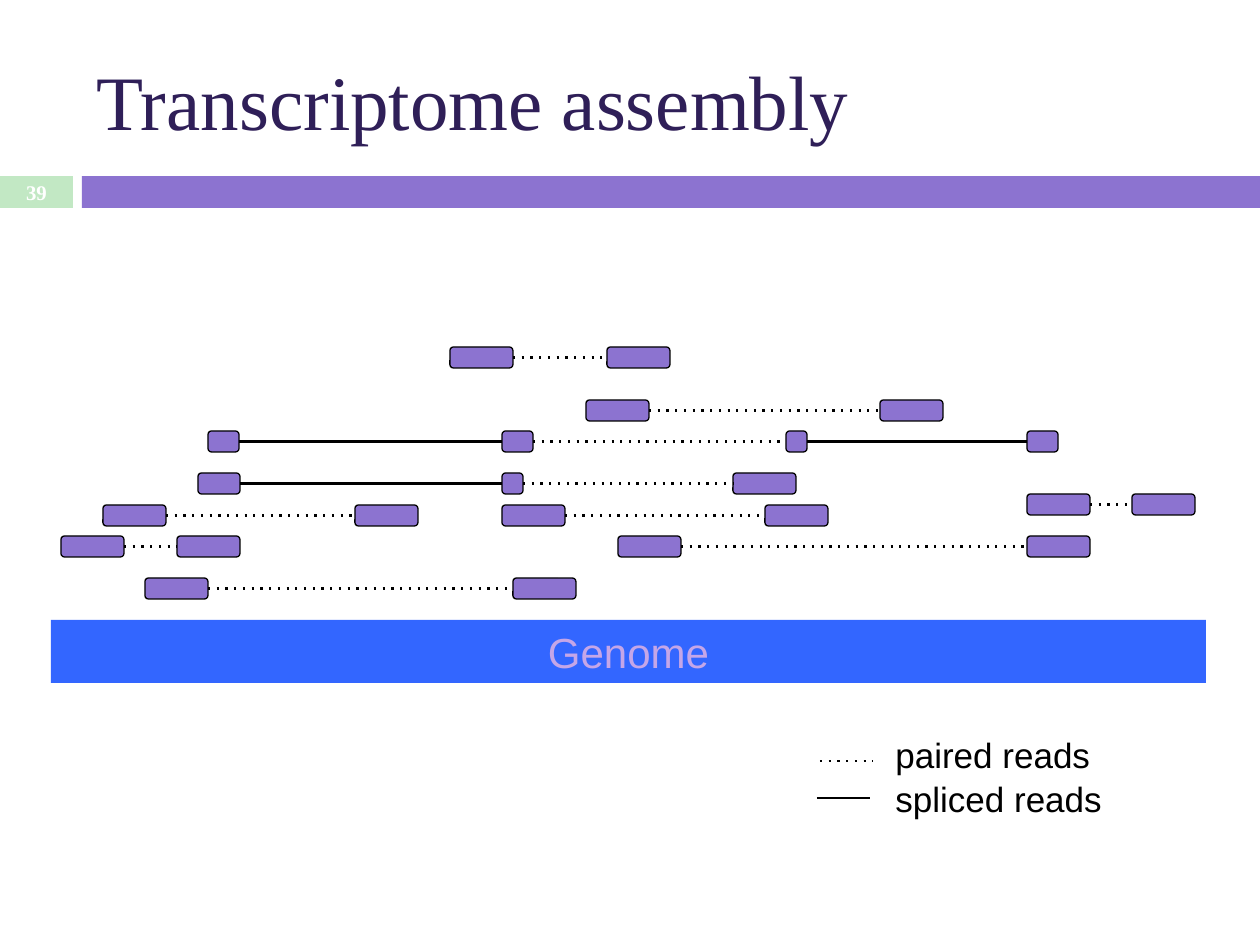
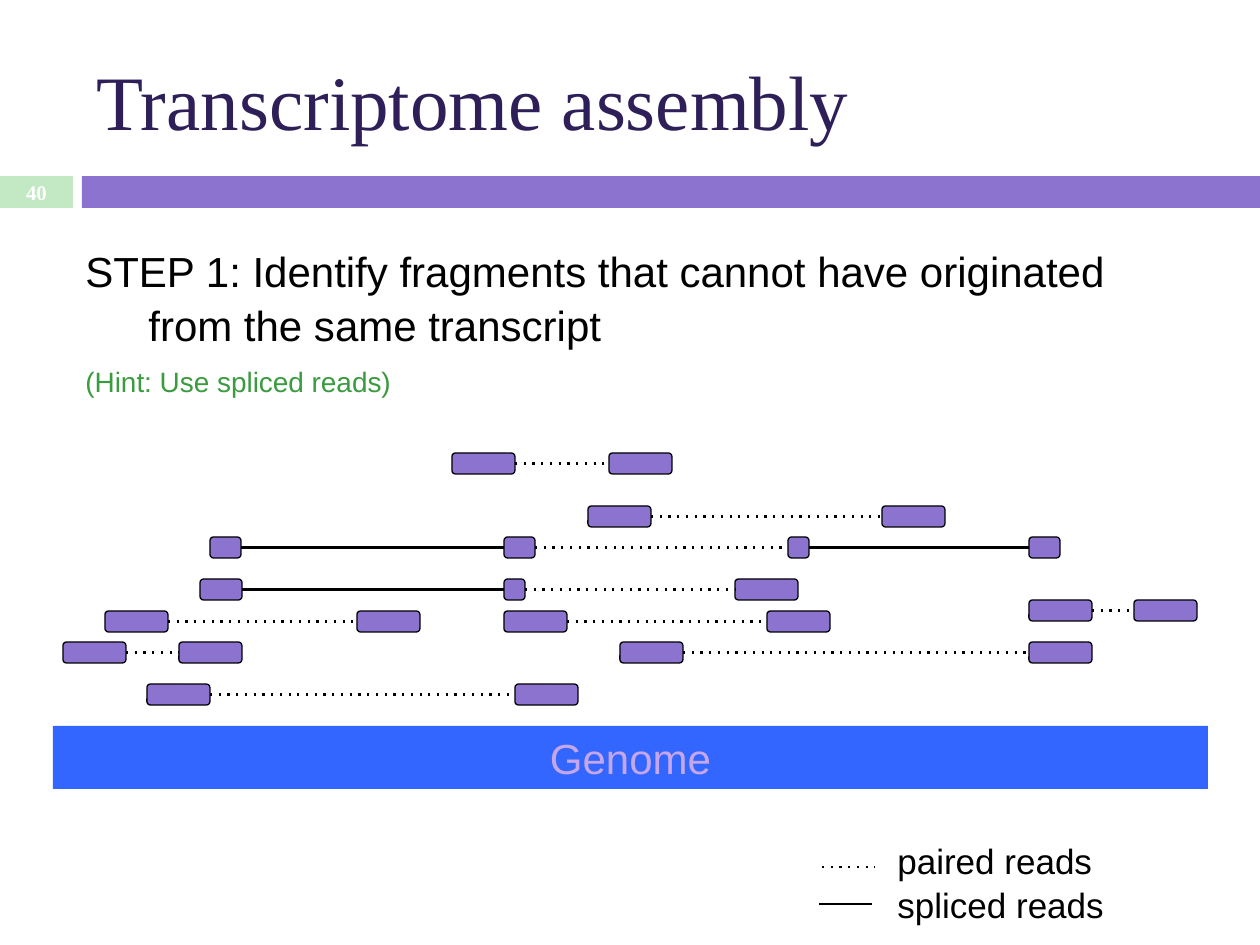
"""Build two slides that show sequencing reads aligned to a genome."""
import dataclasses

import lxml.etree
import pptx
import pptx.dml.color
import pptx.enum.shapes
import pptx.enum.text
import pptx.oxml.ns
import pptx.util

SHAPES = pptx.enum.shapes.MSO_SHAPE
ALIGN = pptx.enum.text.PP_ALIGN
ANCHOR = pptx.enum.text.MSO_ANCHOR
PX_PER_INCH = 126
RIGHT_SIDE, LEFT_SIDE = 3, 1
READ_HEIGHT = 2
GENOME_SIZE = (110, 6)
PAIRED, SPLICED = "paired", "spliced"

# Each fragment: row above the genome, then (start, length) reads joined by links, in grid units.
FRAGMENTS = [
    (26, [(38, 6), PAIRED, (53, 6)]),
    (21, [(51, 6), PAIRED, (79, 6)]),
    (18, [(15, 3), SPLICED, (43, 3), PAIRED, (70, 2), SPLICED, (93, 3)]),
    (14, [(14, 4), SPLICED, (43, 2), PAIRED, (65, 6)]),
    (12, [(93, 6), PAIRED, (103, 6)]),
    (11, [(5, 6), PAIRED, (29, 6)]),
    (11, [(43, 6), PAIRED, (68, 6)]),
    (8, [(1, 6), PAIRED, (12, 6)]),
    (8, [(54, 6), PAIRED, (93, 6)]),
    (4, [(9, 6), PAIRED, (44, 6)]),
]


@dataclasses.dataclass(frozen=True)
class Theme:
    """Colours, fonts and sizes in points that the slides share."""
    title: str = "2F1F58"
    band: str = "8C73D0"
    number_band: str = "C2E8C4"
    genome: str = "3366FF"
    genome_label: str = "C5A6E8"
    hint: str = "3A9B3F"
    ink: str = "000000"
    paper: str = "FFFFFF"
    serif: str = "Times New Roman"
    sans: str = "Arial"
    title_size: float = 44
    step_size: float = 24
    legend_size: float = 20
    hint_size: float = 16
    number_size: float = 11.9
    outline: float = 0.75
    link: float = 1.25


THEME = Theme()


def px(length):
    """Turn px into EMU."""
    return pptx.util.Emu(round(length * 914400 / PX_PER_INCH))


def grid(units):
    """Turn grid units of a twelfth of an inch into whole px."""
    return units * PX_PER_INCH // 12


def rgb(value):
    """Return the colour for a hex value."""
    return pptx.dml.color.RGBColor.from_string(value)


def add_run(paragraph, text, size, color, font=THEME.sans, bold=False):
    """Add one formatted run to a paragraph."""
    run = paragraph.add_run()
    run.text = text
    run.font.name = font
    run.font.size = pptx.util.Pt(size)
    run.font.color.rgb = rgb(color)
    run.font.bold = bold


def add_block(slide, kind, left, top, width, height, fill, outline=None):
    """Add a filled preset shape, outlined only when a colour is given."""
    shape = slide.shapes.add_shape(kind, px(left), px(top), px(width), px(height))
    shape.shadow.inherit = False
    shape.fill.solid()
    shape.fill.fore_color.rgb = rgb(fill)
    if outline:
        shape.line.color.rgb = rgb(outline)
        shape.line.width = pptx.util.Pt(THEME.outline)
    else:
        shape.line.fill.background()
    return shape


def add_text_box(slide, left, top, width, height):
    """Add a wrapping text box and return its frame."""
    frame = slide.shapes.add_textbox(px(left), px(top), px(width), px(height)).text_frame
    frame.word_wrap = True
    return frame


def add_link(slide, kind, left=0, right=0, y=0):
    """Add a horizontal link line, dotted for paired reads."""
    connector = slide.shapes.add_connector(
        pptx.enum.shapes.MSO_CONNECTOR.STRAIGHT, px(left), px(y), px(right), px(y))
    connector.line.color.rgb = rgb(THEME.ink)
    connector.line.width = pptx.util.Pt(THEME.link)
    qn = pptx.oxml.ns.qn
    properties = connector.element.spPr
    if kind == PAIRED:
        dash = lxml.etree.SubElement(properties.find(qn("a:ln")), qn("a:prstDash"))
        dash.set("val", "dot")
    lxml.etree.SubElement(properties, qn("a:effectLst"))
    return connector


def add_titled_slide(presentation, title, number):
    """Add a slide with its title, bands and slide number."""
    slide = presentation.slides.add_slide(presentation.slide_layouts[5])
    add_block(slide, SHAPES.RECTANGLE, 0, 176, 73, 32, THEME.number_band)
    add_block(slide, SHAPES.RECTANGLE, 82, 176, 1178, 32, THEME.band)

    placeholder = slide.shapes.title
    placeholder.left, placeholder.top = px(84), px(32)
    placeholder.width, placeholder.height = px(1124), px(136)
    frame = placeholder.text_frame
    frame.vertical_anchor = ANCHOR.MIDDLE
    frame.paragraphs[0].alignment = ALIGN.LEFT
    add_run(frame.paragraphs[0], title, THEME.title_size, THEME.title, THEME.serif)

    frame = add_text_box(slide, 0, 175, 73, 34)
    frame.vertical_anchor = ANCHOR.MIDDLE
    frame.paragraphs[0].alignment = ALIGN.CENTER
    add_run(frame.paragraphs[0], str(number), THEME.number_size, THEME.paper,
            THEME.serif, bold=True)
    return slide


def add_step(slide, step, hint):
    """Add the step text and its hint with a hanging indent."""
    frame = add_text_box(slide, 73, 236, 1124, 158)
    lines = [(step, THEME.step_size, THEME.ink), (hint, THEME.hint_size, THEME.hint)]
    for index, (text, size, color) in enumerate(lines):
        paragraph = frame.add_paragraph() if index else frame.paragraphs[0]
        paragraph.line_spacing = 1.07
        paragraph.space_before = pptx.util.Pt(7 if index else 0)
        properties = paragraph._p.get_or_add_pPr()
        properties.set("marL", str(px(63)))
        properties.set("indent", str(-px(63)))
        add_run(paragraph, text, size, color)


def add_fragment(slide, left, top, chain):
    """Add the reads of one fragment and join neighbours by their links."""
    reads = [
        add_block(slide, SHAPES.ROUNDED_RECTANGLE, left + grid(start), top,
                  grid(length), grid(READ_HEIGHT), THEME.band, THEME.ink)
        for start, length in chain[::2]
    ]
    for kind, before, after in zip(chain[1::2], reads, reads[1:]):
        link = add_link(slide, kind)
        link.begin_connect(before, RIGHT_SIDE)
        link.end_connect(after, LEFT_SIDE)


def add_legend(slide, left, top):
    """Explain the two kinds of link below the genome."""
    frame = add_text_box(slide, left + 832, top + 105, 325, 97)
    for index, kind in enumerate((PAIRED, SPLICED)):
        paragraph = frame.add_paragraph() if index else frame.paragraphs[0]
        paragraph.line_spacing = 1.05
        add_run(paragraph, f"{kind} reads", THEME.legend_size, THEME.ink)
    add_link(slide, PAIRED, left + 769, left + 822, top + 141)
    add_link(slide, SPLICED, left + 766, left + 819, top + 178)


def add_alignment(slide, left, top):
    """Add the genome at a position, with reads above and legend below."""
    width, height = map(grid, GENOME_SIZE)
    genome = add_block(slide, SHAPES.RECTANGLE, left, top, width, height, THEME.genome)
    genome.text_frame.vertical_anchor = ANCHOR.MIDDLE
    paragraph = genome.text_frame.paragraphs[0]
    paragraph.alignment = ALIGN.CENTER
    add_run(paragraph, "Genome", THEME.step_size, THEME.genome_label)
    for row, chain in FRAGMENTS:
        add_fragment(slide, left, top - grid(row), chain)
    add_legend(slide, left, top)


def main():
    """Build and save the presentation."""
    presentation = pptx.Presentation()
    presentation.slide_width, presentation.slide_height = px(1260), px(945)
    title = "Transcriptome assembly"

    overview = add_titled_slide(presentation, title, 39)
    add_alignment(overview, 51, 620)

    first_step = add_titled_slide(presentation, title, 40)
    add_step(first_step,
             "STEP 1: Identify fragments that cannot have originated from the same transcript",
             "(Hint: Use spliced reads)")
    add_alignment(first_step, 53, 726)

    presentation.save("out.pptx")


if __name__ == "__main__":
    main()
